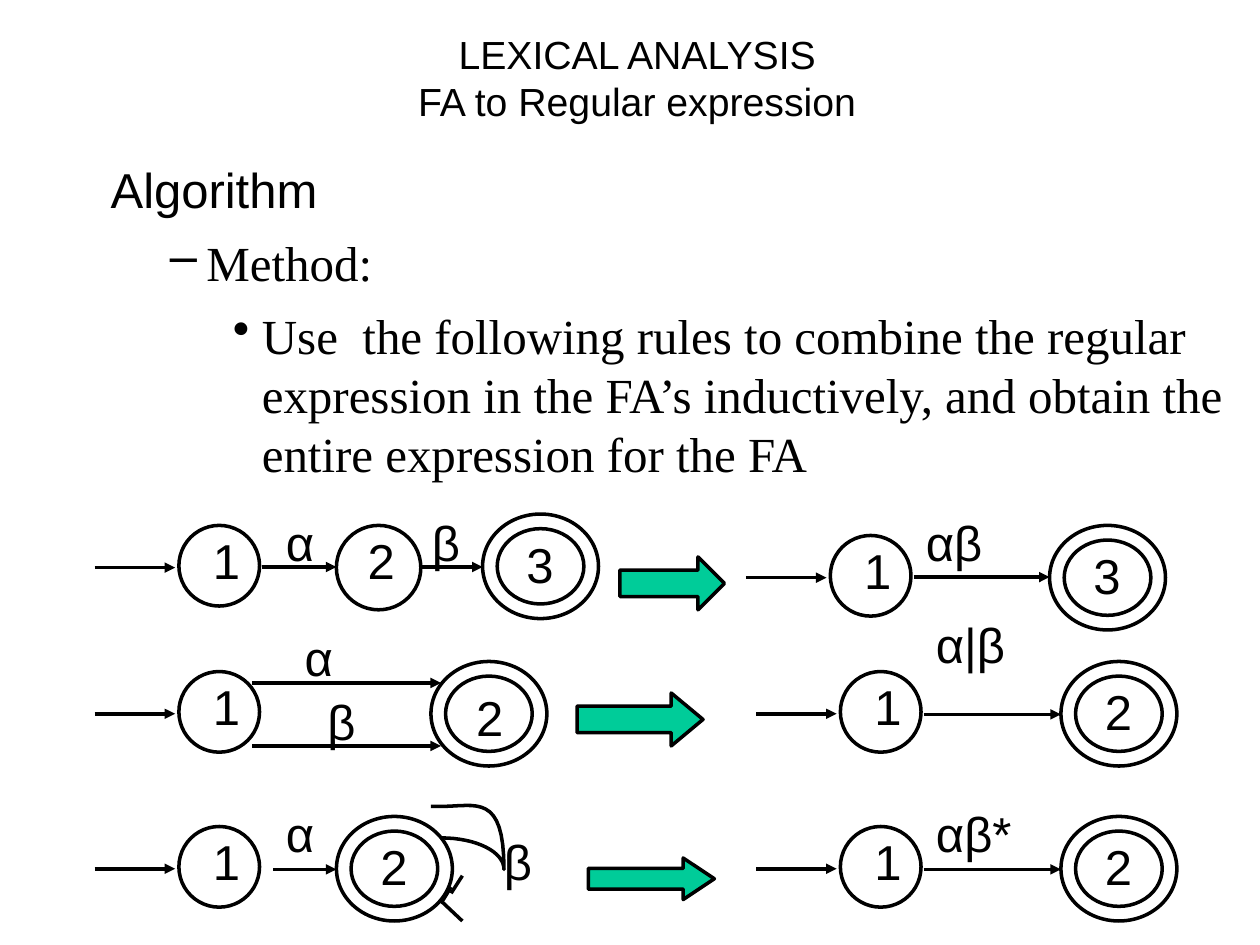
from lxml import etree
from pptx import Presentation
from pptx.dml.color import RGBColor
from pptx.enum import shapes, text
from pptx.oxml.ns import qn
from pptx.util import Inches, Pt

BLACK = RGBColor(0x00, 0x00, 0x00)
GREEN = RGBColor(0x00, 0xCC, 0x99)
LINE_WIDTH = Pt(2)


def add_label(container, left, top, width, wording):
    box = container.add_textbox(Inches(left), Inches(top), Inches(width), Inches(0.57))
    frame = box.text_frame
    frame.word_wrap = False
    frame.auto_size = text.MSO_AUTO_SIZE.SHAPE_TO_FIT_TEXT
    frame.text = wording
    paragraph = frame.paragraphs[0]
    paragraph.font.size = Pt(28)
    paragraph.font.name = "Arial"
    paragraph.font.color.rgb = BLACK


def add_line(container, x1, y1, x2, y2, arrow=True):
    line = container.add_connector(
        shapes.MSO_CONNECTOR.STRAIGHT, Inches(x1), Inches(y1), Inches(x2), Inches(y2))
    line.line.color.rgb = BLACK
    line.line.width = LINE_WIDTH
    if arrow:
        etree.SubElement(line.line._get_or_add_ln(), qn("a:tailEnd"), type="triangle")
    etree.SubElement(line._element.spPr, qn("a:effectLst"))


presentation = Presentation()
presentation.slide_width = Inches(10)
presentation.slide_height = Inches(7.5)
slide = presentation.slides.add_slide(presentation.slide_layouts[6])

# Title
title = slide.shapes.add_textbox(Inches(0.81), Inches(0.15), Inches(8.5), Inches(0.92))
title.text_frame.word_wrap = True
title.text_frame.vertical_anchor = text.MSO_ANCHOR.MIDDLE
title.text_frame.text = "LEXICAL ANALYSIS\vFA to Regular expression"
paragraph = title.text_frame.paragraphs[0]
paragraph.alignment = text.PP_ALIGN.CENTER
paragraph.font.size = Pt(22.4)
paragraph.font.name = "Arial"
paragraph.font.color.rgb = BLACK

# Outline: wording, font, bullet, left margin, hanging indent
outline = [
    ("Algorithm", "Arial", None, 0.38, -0.35),
    ("Method:", "Times New Roman", "–", 0.79, -0.29),
    ("Use  the following rules to combine the regular expression in the FA’s "
     "inductively, and obtain the entire expression for the FA",
     "Times New Roman", "•", 1.23, -0.23),
]
body = slide.shapes.add_textbox(Inches(0.75), Inches(1.22), Inches(9.25), Inches(4.45))
body.text_frame.word_wrap = True
for level, (wording, font, bullet, margin, indent) in enumerate(outline):
    paragraph = body.text_frame.paragraphs[0] if level == 0 else body.text_frame.add_paragraph()
    paragraph.text = wording
    paragraph.level = level
    if level:
        paragraph.space_before = Pt(8)
    properties = paragraph._p.get_or_add_pPr()
    properties.set("marL", str(Inches(margin)))
    properties.set("indent", str(Inches(indent)))
    if bullet:
        etree.SubElement(properties, qn("a:buChar"), char=bullet)
    paragraph.font.size = Pt(28)
    paragraph.font.name = font
    paragraph.font.color.rgb = BLACK

# Start states: incoming arrow, circle and number, grouped
for left, top in [(0.75, 4.17), (0.75, 5.33), (0.75, 6.56),
                  (5.92, 4.25), (6, 5.33), (6, 6.56)]:
    group = slide.shapes.add_group_shape()
    circle = group.shapes.add_shape(
        shapes.MSO_SHAPE.OVAL, Inches(left + 0.67), Inches(top), Inches(0.64), Inches(0.64))
    circle.shadow.inherit = False
    circle.fill.background()
    circle.line.color.rgb = BLACK
    circle.line.width = LINE_WIDTH
    add_line(group.shapes, left, top + 0.335, left + 0.64, top + 0.335)
    add_label(group.shapes, left + 0.84, top - 0.01, 0.41, "1")

# Middle state
middle = slide.shapes.add_shape(
    shapes.MSO_SHAPE.OVAL, Inches(2.67), Inches(4.17), Inches(0.67), Inches(0.67))
middle.shadow.inherit = False
middle.fill.background()
middle.line.color.rgb = BLACK
middle.line.width = LINE_WIDTH

# Final states: double circles
for left, top in [(3.83, 4.08), (3.42, 5.25), (2.67, 6.48),
                  (8.33, 4.17), (8.42, 5.25), (8.42, 6.48)]:
    ring = slide.shapes.add_shape(
        shapes.MSO_SHAPE.DONUT, Inches(left), Inches(top), Inches(0.92), Inches(0.83))
    ring.adjustments[0] = 0.14
    ring.shadow.inherit = False
    ring.fill.background()
    ring.line.color.rgb = BLACK
    ring.line.width = LINE_WIDTH

# State numbers and transition labels
for left, top, width, wording in [
    (2.82, 4.16, 0.41, "2"), (4.08, 4.19, 0.41, "3"), (3.68, 5.41, 0.41, "2"),
    (2.92, 6.59, 0.41, "2"), (8.58, 4.28, 0.41, "3"), (8.67, 5.36, 0.41, "2"),
    (8.67, 6.59, 0.41, "2"),
    (2.17, 4.02, 0.44, "α"), (3.33, 4.02, 0.41, "β"), (7.25, 4.02, 0.66, "αβ"),
    (2.32, 4.93, 0.44, "α"), (2.5, 5.44, 0.41, "β"), (7.33, 4.83, 0.76, "α|β"),
    (2.17, 6.33, 0.44, "α"), (3.9, 6.55, 0.41, "β"), (7.33, 6.33, 0.91, "αβ*"),
]:
    add_label(slide.shapes, left, top, width, wording)

# Transitions
for x1, x2, y in [(2.08, 2.67, 4.5), (3.33, 3.83, 4.5), (7.25, 8.33, 4.58),
                  (2, 3.5, 5.42), (2, 3.5, 5.92), (7.33, 8.42, 5.67),
                  (2.17, 2.67, 6.9), (7.33, 8.42, 6.9)]:
    add_line(slide.shapes, x1, y, x2, y)

# Self-loop on the last rule: curve sampled from Bezier segments
loop_segments = [
    [(3.5, 6.65), (3.78, 6.65), (4, 6.76), (4, 6.9)],
    [(4, 6.9), (4, 6.29), (3.78, 6.4), (3.5, 6.4)],
    [(3.5, 6.4), (3.47, 6.4), (3.45, 6.4), (3.42, 6.4)],
]
STEPS = 16
loop_points = []
for segment in loop_segments:
    for step in range(1, STEPS + 1):
        t = step / STEPS
        weights = [(1 - t) ** 3, 3 * t * (1 - t) ** 2, 3 * t ** 2 * (1 - t), t ** 3]
        loop_points.append(tuple(
            Inches(sum(weight * point[axis] for weight, point in zip(weights, segment)))
            for axis in (0, 1)))
builder = slide.shapes.build_freeform(Inches(3.5), Inches(6.65))
builder.add_line_segments(loop_points, close=False)
loop = builder.convert_to_shape()
loop.shadow.inherit = False
loop.fill.background()
loop.line.color.rgb = BLACK
loop.line.width = LINE_WIDTH

# Loose strokes forming the loop's arrowhead
for stroke in [(3.5, 7.15, 3.67, 7.31), (3.5, 7.17, 3.58, 7.04), (3.58, 7.09, 3.67, 6.95)]:
    add_line(slide.shapes, *stroke, arrow=False)

# Block arrows from each rule to its result
for left, top, width, height, head in [(4.92, 4.42, 0.83, 0.42, 0.5),
                                       (4.58, 5.5, 1, 0.42, 0.6),
                                       (4.67, 6.81, 1, 0.33, 0.75)]:
    arrow = slide.shapes.add_shape(
        shapes.MSO_SHAPE.RIGHT_ARROW, Inches(left), Inches(top), Inches(width), Inches(height))
    arrow.adjustments[1] = head
    arrow.shadow.inherit = False
    arrow.fill.solid()
    arrow.fill.fore_color.rgb = GREEN
    arrow.line.color.rgb = BLACK
    arrow.line.width = LINE_WIDTH

presentation.save("out.pptx")
